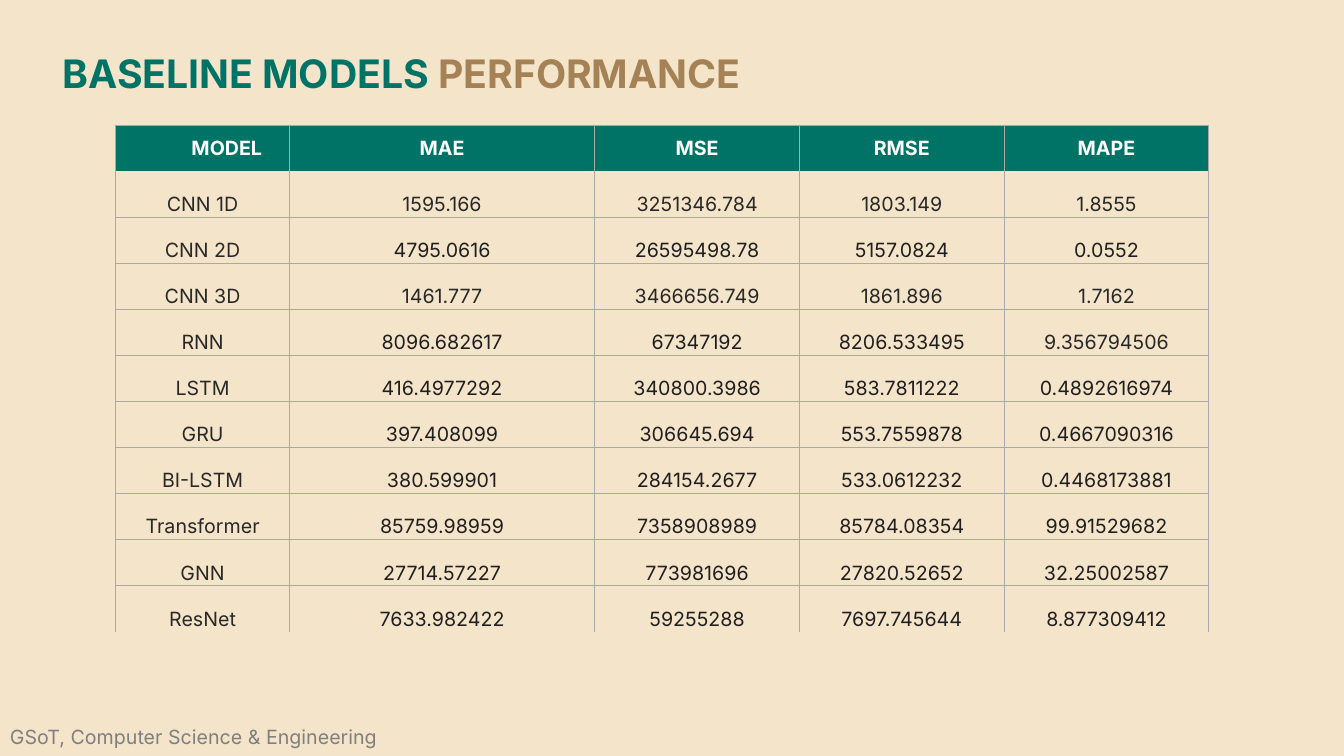
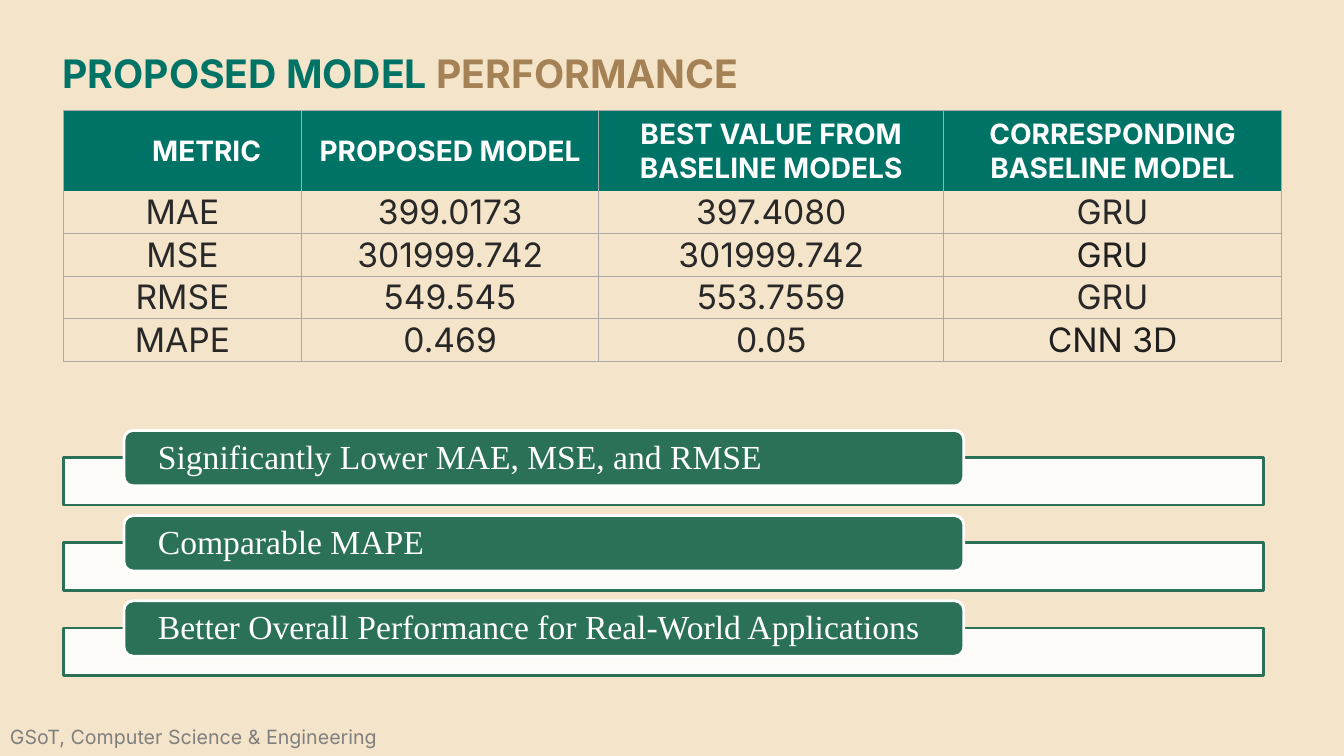
from dataclasses import dataclass

from lxml.etree import SubElement
from pptx import Presentation
from pptx.dml.color import RGBColor
from pptx.enum.shapes import MSO_SHAPE as Shape
from pptx.enum.text import MSO_ANCHOR as Anchor, MSO_AUTO_SIZE as AutoSize, PP_ALIGN as Align
from pptx.oxml.ns import qn
from pptx.util import Inches, Pt


@dataclass(frozen=True)
class Theme:
    sand: str = "F4E4C9"
    teal: str = "007367"
    bronze: str = "A58255"
    green: str = "2B7158"
    white: str = "FFFFFF"
    ink: str = "282828"
    dark_ink: str = "1F1F1F"
    rule: str = "A9A9A9"
    grey: str = "7F7F7F"
    font: str = "Inter"
    serif: str = "Times New Roman"
    title_size: int = 28
    footer_size: int = 14
    point_size: int = 24
    rule_width: float = 0.75
    outline: int = 2


THEME = Theme()
FOOTER = "GSoT, Computer Science & Engineering"

BASELINE = {
    "title": ("BASELINE MODELS ", "PERFORMANCE"),
    "rows": [
        ("MODEL", "MAE", "MSE", "RMSE", "MAPE"),
        ("CNN 1D", "1595.166", "3251346.784", "1803.149", "1.8555"),
        ("CNN 2D", "4795.0616", "26595498.78", "5157.0824", "0.0552"),
        ("CNN 3D", "1461.777", "3466656.749", "1861.896", "1.7162"),
        ("RNN", "8096.682617", "67347192", "8206.533495", "9.356794506"),
        ("LSTM", "416.4977292", "340800.3986", "583.7811222", "0.4892616974"),
        ("GRU", "397.408099", "306645.694", "553.7559878", "0.4667090316"),
        ("BI-LSTM", "380.599901", "284154.2677", "533.0612232", "0.4468173881"),
        ("Transformer", "85759.98959", "7358908989", "85784.08354", "99.91529682"),
        ("GNN", "27714.57227", "773981696", "27820.52652", "32.25002587"),
        ("ResNet", "7633.982422", "59255288", "7697.745644", "8.877309412"),
    ],
    "at": (1.15, 1.24),
    "widths": (1.72, 3.03, 2.03, 2.03, 2.03),
    "heights": [5.03 / 11] * 11,
    "sizes": (14, 14),
    "dark": {(r, c) for r in (2, *range(4, 11)) for c in range(1, 5)} - {(4, 4)},
    "open_bottom": True,
    "points": (),
}

PROPOSED = {
    "title": ("PROPOSED MODEL ", "PERFORMANCE"),
    "rows": [
        ("METRIC", "PROPOSED MODEL", "BEST VALUE FROM BASELINE MODELS",
         "CORRESPONDING BASELINE MODEL"),
        ("MAE", "399.0173", "397.4080", "GRU"),
        ("MSE", "301999.742", "301999.742", "GRU"),
        ("RMSE", "549.545", "553.7559", "GRU"),
        ("MAPE", "0.469", "0.05", "CNN 3D"),
    ],
    "at": (0.63, 1.1),
    "widths": (2.36, 2.95, 3.42, 3.35),
    "heights": [0.67] + [0.39] * 4,
    "sizes": (20, 24),
    "dark": {(2, 3), (4, 3)},
    "open_bottom": False,
    "points": (
        "Significantly Lower MAE, MSE, and RMSE",
        "Comparable MAPE",
        "Better Overall Performance for Real-World Applications",
    ),
}


def rgb(value):
    return RGBColor.from_string(value)


def add_span(para, text, size, color, bold=False, font=THEME.font):
    span = para.add_run()
    span.text = text
    span.font.name, span.font.size, span.font.bold = font, Pt(size), bold
    span.font.color.rgb = rgb(color)


def set_insets(target, left, top, right, bottom):
    target.margin_left, target.margin_top = Inches(left), Inches(top)
    target.margin_right, target.margin_bottom = Inches(right), Inches(bottom)


def set_borders(cell, sides):
    """Rule the given sides, a subset of "LRTB", and clear the others."""
    props = cell._tc.get_or_add_tcPr()
    for side in "LRTB":
        line = SubElement(props, qn(f"a:ln{side}"), w=str(Pt(THEME.rule_width)))
        if side in sides:
            fill = SubElement(line, qn("a:solidFill"))
            SubElement(fill, qn("a:srgbClr"), val=THEME.rule)
        else:
            SubElement(line, qn("a:noFill"))


def border_sides(row, last, open_bottom):
    if row == 0 or (row == last and open_bottom):
        return "LRT"
    return "LRB" if row == 1 else "LRTB"


def style_layout(layout):
    layout.background.fill.solid()
    layout.background.fill.fore_color.rgb = rgb(THEME.sand)


def fill_title(page, parts):
    title = page.shapes.title
    title.left, title.top = Inches(0.52), Inches(0.49)
    title.width, title.height = Inches(10.95), Inches(0.43)
    frame = title.text_frame
    frame.auto_size, frame.vertical_anchor = AutoSize.NONE, Anchor.TOP
    set_insets(frame, 0.1, 0.05, 0.1, 0.05)
    para = frame.paragraphs[0]
    para.alignment, para.line_spacing = Align.LEFT, 0.9
    for text, color in zip(parts, (THEME.teal, THEME.bronze)):
        add_span(para, text, THEME.title_size, color, bold=True)


def add_footer(page):
    box = page.shapes.add_textbox(Inches(0), Inches(7.14), Inches(5.24), Inches(0.34))
    box.text_frame.word_wrap = True
    add_span(box.text_frame.paragraphs[0], FOOTER, THEME.footer_size, THEME.grey)


def fill_cell(cell, text, size, color, header, first):
    cell.fill.solid()
    cell.fill.fore_color.rgb = rgb(THEME.teal if header else THEME.sand)
    cell.vertical_anchor = Anchor.MIDDLE if header else Anchor.BOTTOM
    if not header:
        set_insets(cell, 0.02, 0.01, 0.02, 0.01)
    elif first:
        set_insets(cell, 0.48, 0, 0, 0)
    else:
        set_insets(cell, 0.12, 0.06, 0.12, 0.06)
    para = cell.text_frame.paragraphs[0]
    para.alignment = Align.CENTER
    add_span(para, text, size, color, bold=header)


def add_scores(page, content):
    rows, widths, heights = content["rows"], content["widths"], content["heights"]
    left, top = content["at"]
    table = page.shapes.add_table(
        len(rows), len(widths), Inches(left), Inches(top),
        Inches(sum(widths)), Inches(sum(heights))).table
    table.horz_banding = False
    for column, width in zip(table.columns, widths):
        column.width = Inches(width)
    header_size, body_size = content["sizes"]
    for r, (texts, height) in enumerate(zip(rows, heights)):
        table.rows[r].height = Inches(height)
        header = r == 0
        for c, text in enumerate(texts):
            cell = table.cell(r, c)
            set_borders(cell, border_sides(r, len(rows) - 1, content["open_bottom"]))
            ink = THEME.dark_ink if (r, c) in content["dark"] else THEME.ink
            fill_cell(cell, text, header_size if header else body_size,
                      THEME.white if header else ink, header, first=c == 0)


def add_block(page, shape, left, top, width, height, fill, line):
    block = page.shapes.add_shape(
        shape, Inches(left), Inches(top), Inches(width), Inches(height))
    block.shadow.inherit = False
    block.fill.solid()
    block.fill.fore_color.rgb = rgb(fill)
    block.line.color.rgb = rgb(line)
    block.line.width = Pt(THEME.outline)
    return block


def add_points(page, points):
    """Stack pale bars, each with a rounded tab that holds one point."""
    first_top, pitch, tab_rise = 4.54, 0.845, 0.27
    for i, text in enumerate(points):
        top = first_top + i * pitch
        bar = add_block(page, Shape.RECTANGLE, 0.63, top, 11.9, 0.47,
                        THEME.white, THEME.green)
        color = bar.fill._xPr.find(qn("a:solidFill"))[0]
        SubElement(color, qn("a:alpha"), val="90000")
        tab = add_block(page, Shape.ROUNDED_RECTANGLE, 1.23, top - tab_rise, 8.33, 0.55,
                        THEME.green, THEME.white)
        frame = tab.text_frame
        frame.word_wrap, frame.vertical_anchor = True, Anchor.MIDDLE
        set_insets(frame, 0.31, 0, 0.31, 0)
        para = frame.paragraphs[0]
        para.alignment, para.line_spacing = Align.LEFT, 0.9
        add_span(para, text, THEME.point_size, THEME.white, font=THEME.serif)


def main():
    deck = Presentation()
    deck.slide_width, deck.slide_height = Inches(13.33), Inches(7.5)
    layout = deck.slide_layouts.get_by_name("Title Only")
    style_layout(layout)
    for content in (BASELINE, PROPOSED):
        page = deck.slides.add_slide(layout)
        fill_title(page, content["title"])
        add_scores(page, content)
        add_footer(page)
        add_points(page, content["points"])
    deck.save("out.pptx")


if __name__ == "__main__":
    main()
